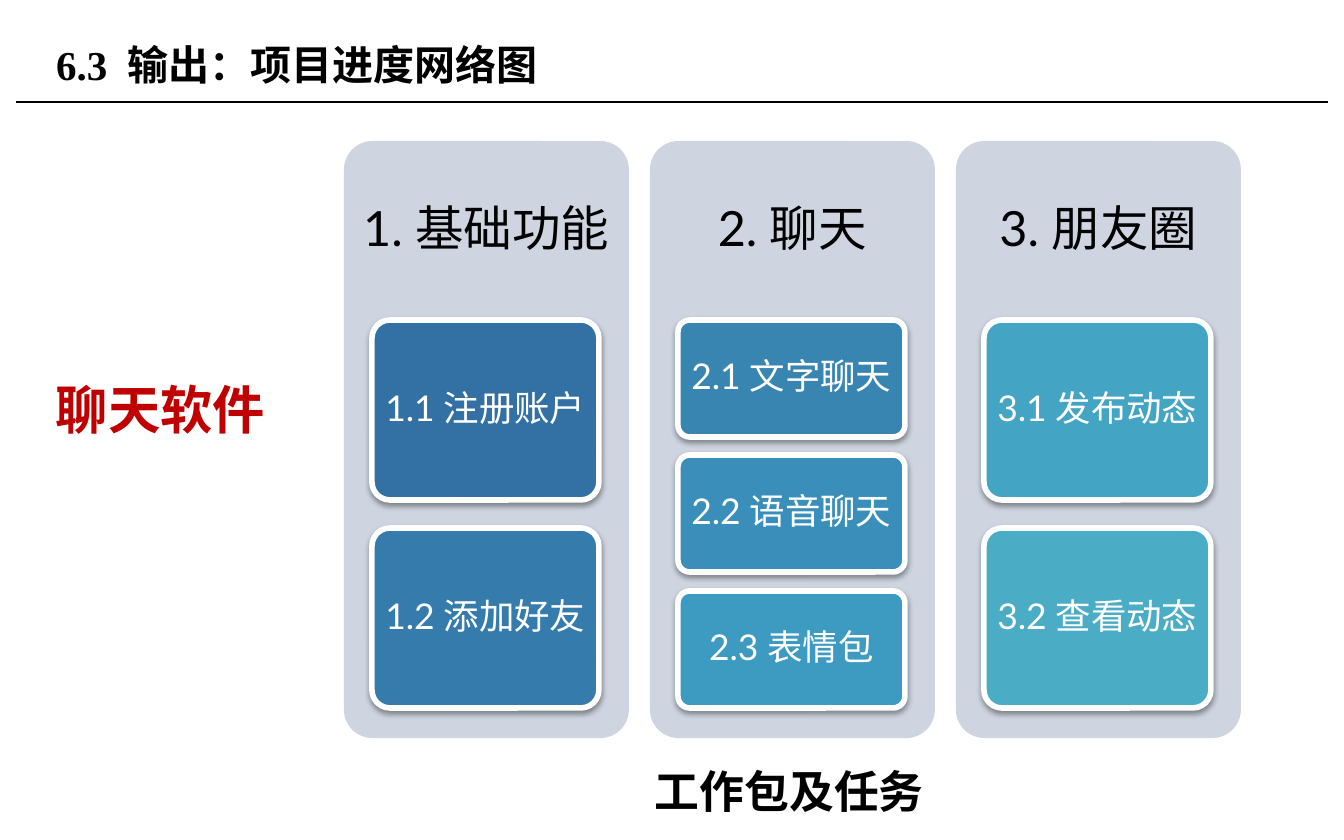
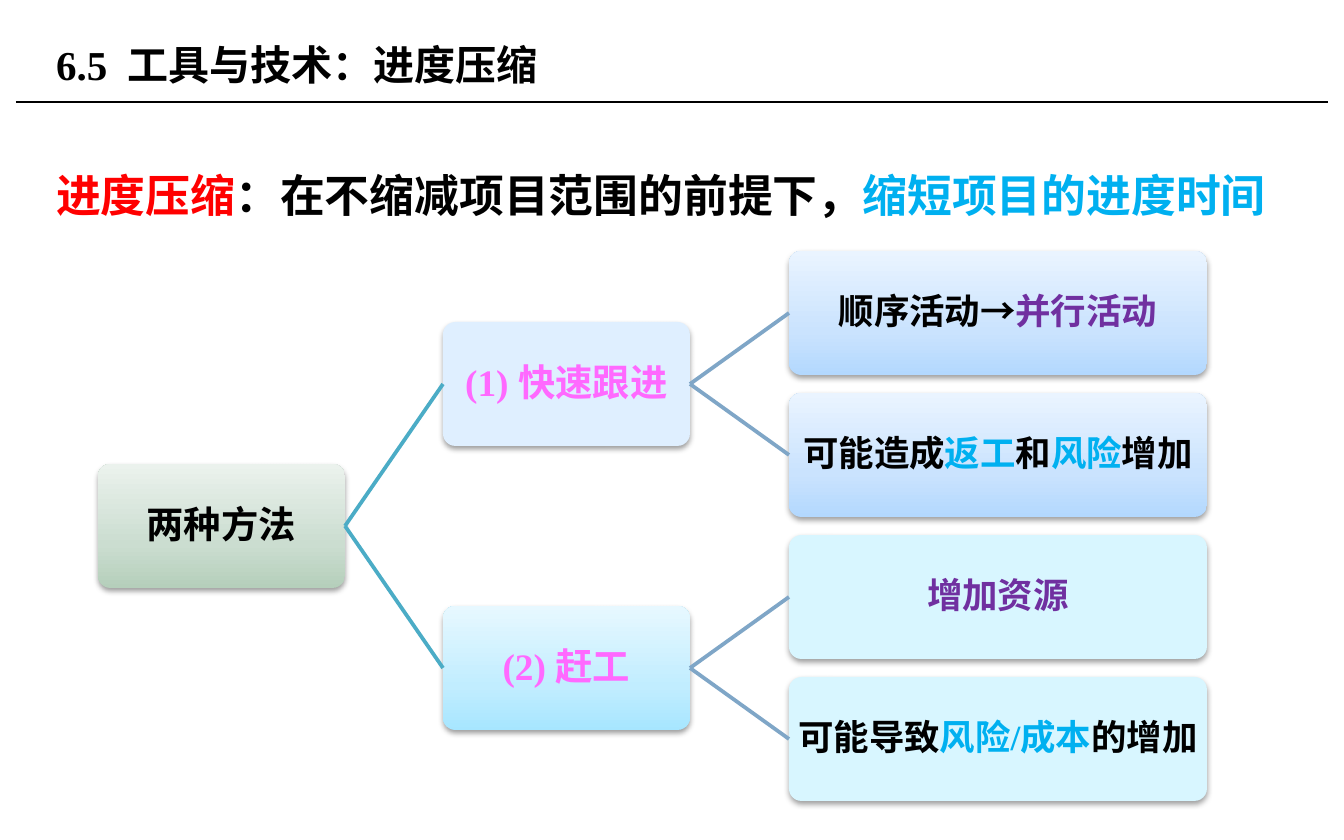
from copy import deepcopy

from lxml import etree
from pptx import Presentation
from pptx.dml.color import RGBColor
from pptx.enum.shapes import MSO_CONNECTOR as CONNECTOR, MSO_SHAPE as SHAPE
from pptx.enum.text import MSO_ANCHOR as ANCHOR, PP_ALIGN as ALIGN
from pptx.oxml import parse_xml
from pptx.oxml.ns import nsdecls, qn
from pptx.util import Emu, Pt

PX = 914400 / 134.4
COLOURS = {
    "black": "000000", "white": "FFFFFF", "red": "FF0000", "dark red": "C00000",
    "blue": "00B0F0", "purple": "7030A0", "pink": "FF69FF", "panel": "CED5E0",
    "teal line": "4BACC6", "blue line": "7FA6C7",
    "pale blue": "DFEFFF", "pale cyan": "D8F6FF",
}
GRADIENTS = {
    "green": ["B5CFBB", "CBDDD0", "EBF2ED"],
    "sky": ["B3D8FE", "CAE3FE", "EAF4FF"],
    "cyan": ["A7E6FF", "C1EDFF", "E7F8FF"],
}
SERIF, SANS = "Times New Roman", "Lato"
SHADOW = (f'<a:outerShdw {nsdecls("a")} blurRad="40000" dist="20000" dir="5400000" '
          'rotWithShape="0"><a:srgbClr val="000000"><a:alpha val="38000"/>'
          '</a:srgbClr></a:outerShdw>')


def write(shape, runs, size, font=SANS, bold=True, align=ALIGN.LEFT,
          spacing=None, anchor=ANCHOR.TOP, insets=(13, 7)):
    """Fill a shape with one paragraph made of (text, colour) runs."""
    frame = shape.text_frame
    frame.word_wrap = True
    frame.vertical_anchor = anchor
    frame.margin_left = frame.margin_right = Emu(round(insets[0] * PX))
    frame.margin_top = frame.margin_bottom = Emu(round(insets[1] * PX))
    paragraph = frame.paragraphs[0]
    paragraph.alignment = align
    if spacing:
        paragraph.line_spacing = spacing
    for text, colour in runs:
        run = paragraph.add_run()
        run.text = text
        run.font.name, run.font.size, run.font.bold = font, Pt(size), bold
        run.font.color.rgb = RGBColor.from_string(COLOURS[colour])


def add_box(slide, box, fill, outline=False, shadow=True):
    """Add a rounded box; fill is a gradient name, a colour name or a hex string."""
    shape = slide.shapes.add_shape(SHAPE.ROUNDED_RECTANGLE,
                                   *(Emu(round(length * PX)) for length in box))
    shape.adjustments[0] = 0.1
    if fill in GRADIENTS:
        shape.fill.gradient()
        shape.fill.gradient_angle = 90
        first = shape._element.spPr.find(".//" + qn("a:gs"))
        first.addnext(deepcopy(first))
        for stop, position, colour in zip(shape.fill.gradient_stops,
                                          (0, 0.35, 1), GRADIENTS[fill]):
            stop.position = position
            stop.color.rgb = RGBColor.from_string(colour)
    else:
        shape.fill.solid()
        shape.fill.fore_color.rgb = RGBColor.from_string(COLOURS.get(fill, fill))
    if outline:
        shape.line.color.rgb = RGBColor.from_string(COLOURS["white"])
        shape.line.width = Pt(3)
    else:
        shape.line.fill.background()
    shape.shadow.inherit = False
    if shadow:
        shape._element.spPr.find(qn("a:effectLst")).append(parse_xml(SHADOW))
    return shape


presentation = Presentation()
presentation.slide_width = Emu(round(1344 * PX))
presentation.slide_height = Emu(round(840 * PX))

# Title and rule on both slides
slides = []
for title in ("6.3  输出：项目进度网络图", "6.5  工具与技术：进度压缩"):
    slide = presentation.slides.add_slide(presentation.slide_layouts[6])
    slides.append(slide)
    rule = slide.shapes.add_connector(
        CONNECTOR.STRAIGHT, *(Emu(round(n * PX)) for n in (16, 102, 1328, 102)))
    rule.line.color.rgb = RGBColor.from_string(COLOURS["black"])
    rule.line.width = Pt(0.75)
    etree.SubElement(rule._element.spPr, qn("a:effectLst"))
    title_box = slide.shapes.add_textbox(
        *(Emu(round(n * PX)) for n in (43, 17, 978, 95)))
    write(title_box, [(title, "black")], 22, SERIF, anchor=ANCHOR.MIDDLE)
network_slide, compression_slide = slides

# Slide 1: work packages in columns, tasks stacked inside
packages = [
    ("1. 基础功能", [("1.1 注册账户", "3371A4"), ("1.2 添加好友", "357BAB")]),
    ("2. 聊天", [("2.1 文字聊天", "3885B2"), ("2.2 语音聊天", "3A8FBA"),
               ("2.3 表情包", "3D9AC1")]),
    ("3. 朋友圈", [("3.1 发布动态", "44A4C4"), ("3.2 查看动态", "4BACC6")]),
]
TASKS_TOP, TASKS_HEIGHT, GAP_RATIO = 320, 388, 0.154
for column, (package, tasks) in enumerate(packages):
    left = 344 + 306 * column
    add_box(network_slide, (left, 141, 285, 597), "panel", shadow=False)
    heading = network_slide.shapes.add_textbox(
        *(Emu(round(n * PX)) for n in (left, 141, 285, 179)))
    write(heading, [(package, "black")], 26, bold=False, align=ALIGN.CENTER,
          spacing=0.9, anchor=ANCHOR.MIDDLE, insets=(15, 15))
    height = TASKS_HEIGHT / (len(tasks) + GAP_RATIO * (len(tasks) - 1))
    for row, (task, colour) in enumerate(tasks):
        top = TASKS_TOP + row * height * (1 + GAP_RATIO)
        task_box = add_box(network_slide, (left + 28, round(top), 227, round(height)),
                           colour, outline=True)
        write(task_box, [(task, "white")], 19, bold=False, align=ALIGN.CENTER,
              spacing=0.9, anchor=ANCHOR.MIDDLE, insets=(7, 5))

# Product name and caption
product = network_slide.shapes.add_textbox(
    *(Emu(round(n * PX)) for n in (43, 370, 258, 77)))
write(product, [("聊天软件", "dark red")], 28)
caption = network_slide.shapes.add_textbox(
    *(Emu(round(n * PX)) for n in (642, 757, 298, 67)))
write(caption, [("工作包及任务", "black")], 24)
caption.text_frame.word_wrap = False

# Slide 2: definition
definition = compression_slide.shapes.add_textbox(
    *(Emu(round(n * PX)) for n in (43, 134, 1263, 524)))
write(definition, [("进度压缩", "red"), ("：在不缩减项目范围的前提下，", "black"),
                   ("缩短项目的进度时间", "blue")], 24, SERIF, spacing=1.5)

# Tree of methods: each parent sits midway between its two children
methods = [
    ("(1) 快速跟进", "pale blue", "sky", [
        [("顺序活动→", "black"), ("并行活动", "purple")],
        [("可能造成", "black"), ("返工", "blue"), ("和", "black"),
         ("风险", "blue"), ("增加", "black")]]),
    ("(2) 赶工", "cyan", "pale cyan", [
        [("增加资源", "purple")],
        [("可能导致", "black"), ("风险/成本", "blue"), ("的增加", "black")]]),
]
LEAF_TOP, LEAF_PITCH, NODE_HEIGHT = 251, 142, 124
tree_text = dict(align=ALIGN.CENTER, spacing=0.9, anchor=ANCHOR.MIDDLE, insets=(1, 1))
root = add_box(compression_slide,
               (98, LEAF_TOP + 1.5 * LEAF_PITCH, 247, NODE_HEIGHT), "green")
write(root, [("两种方法", "black")], 20, **tree_text)
links = []
for index, (method, fill, leaf_fill, effects) in enumerate(methods):
    first_top = LEAF_TOP + 2 * index * LEAF_PITCH
    method_box = add_box(compression_slide,
                         (443, first_top + LEAF_PITCH / 2, 247, NODE_HEIGHT), fill)
    write(method_box, [(method, "pink")], 20, SERIF, **tree_text)
    links.append((root, method_box, "teal line"))
    for row, runs in enumerate(effects):
        leaf = add_box(compression_slide,
                       (789, first_top + row * LEAF_PITCH, 418, NODE_HEIGHT), leaf_fill)
        write(leaf, runs, 19, SERIF, **tree_text)
        links.append((method_box, leaf, "blue line"))

for parent, child, colour in links:
    link = compression_slide.shapes.add_connector(CONNECTOR.STRAIGHT, 0, 0, 0, 0)
    link.begin_connect(parent, 3)
    link.end_connect(child, 1)
    link.line.color.rgb = RGBColor.from_string(COLOURS[colour])
    link.line.width = Pt(2)
    etree.SubElement(link._element.spPr, qn("a:effectLst"))

presentation.save("out.pptx")
